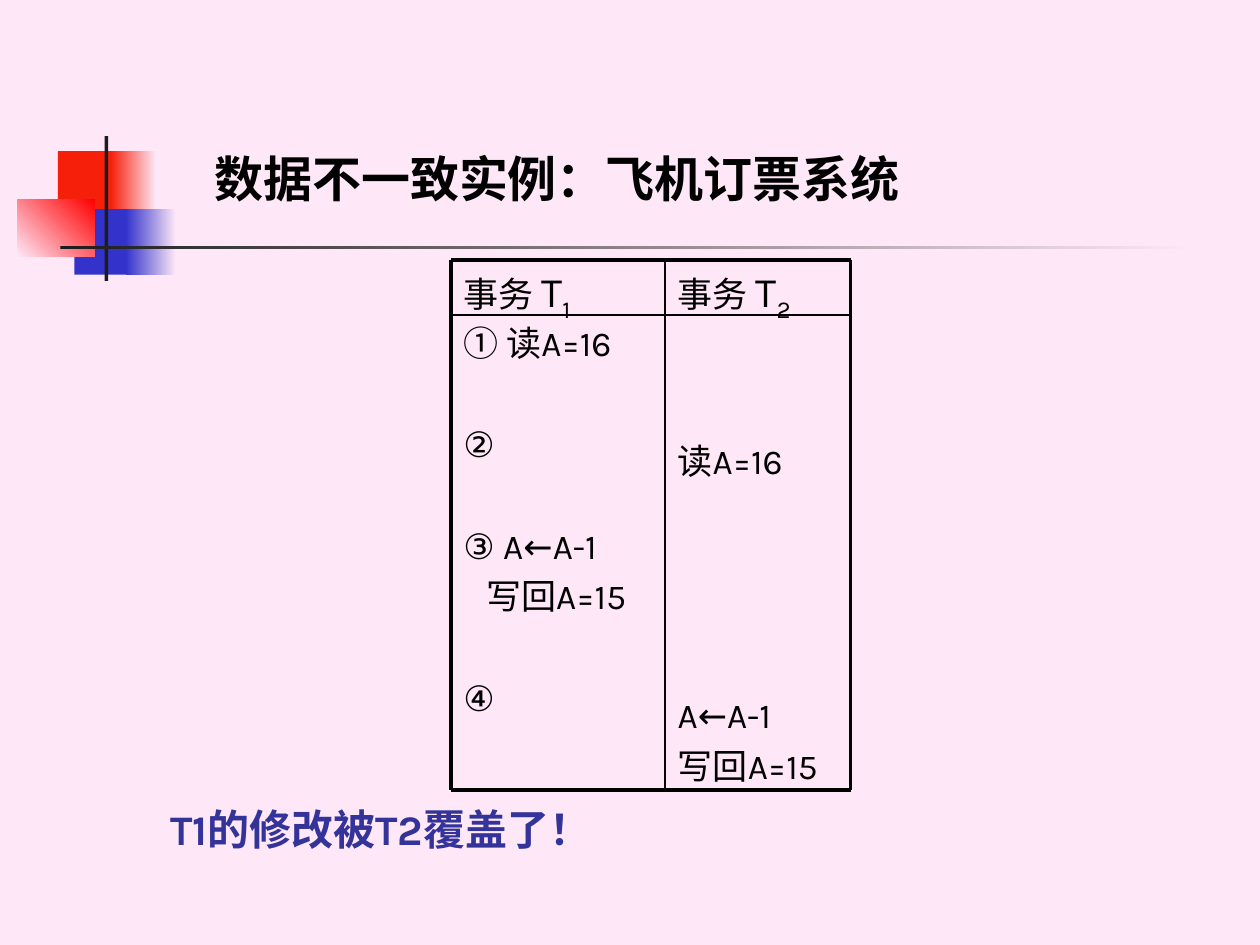
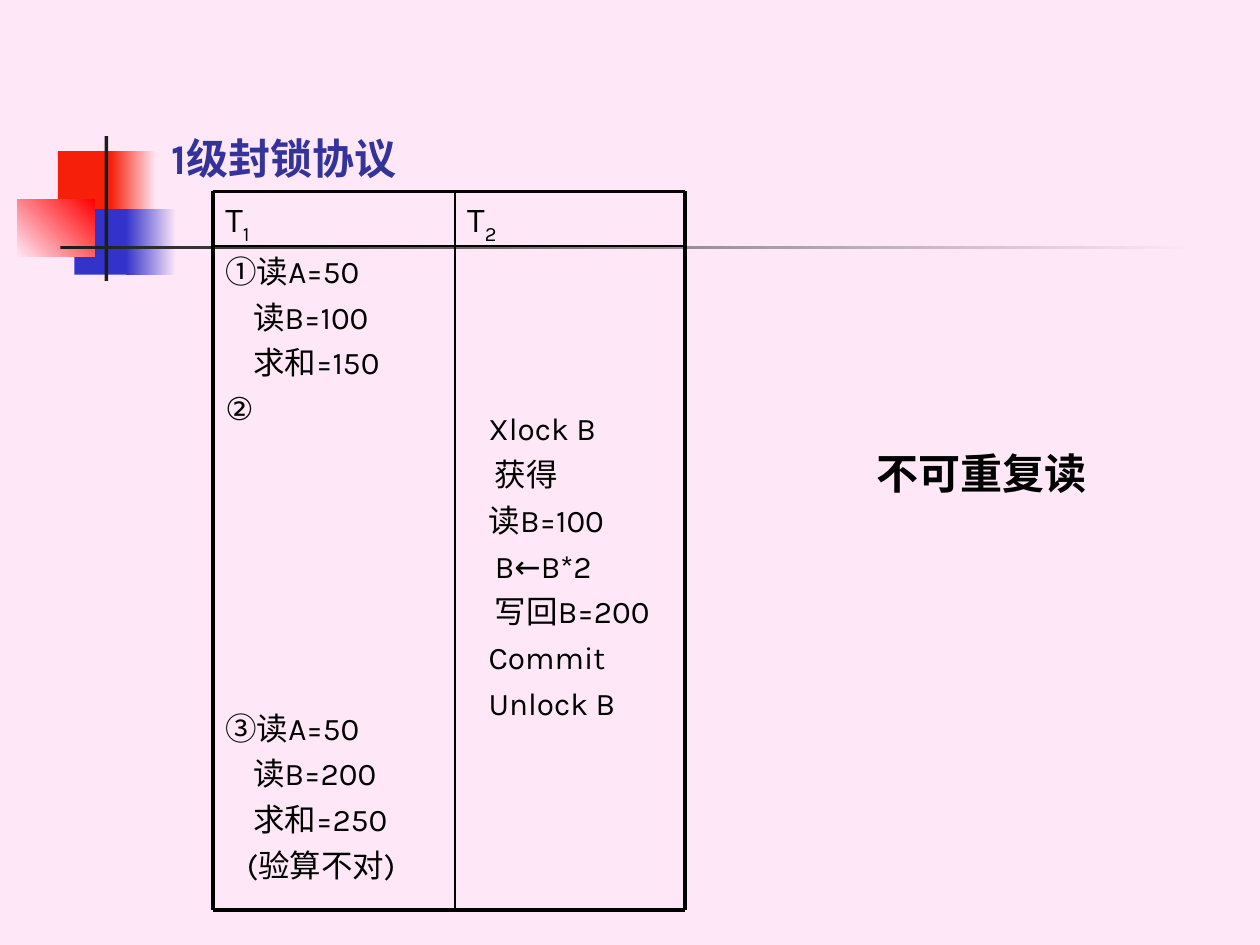
from lxml.etree import SubElement
from pptx import Presentation
from pptx.dml.color import RGBColor
from pptx.enum.shapes import MSO_CONNECTOR, MSO_SHAPE
from pptx.enum.text import MSO_ANCHOR, PP_ALIGN
from pptx.oxml.ns import qn
from pptx.util import Inches, Pt

COLORS = {
    "background": "FEE8F7",
    "orange": "F6200A",
    "red": "FF0000",
    "blue": "3333CC",
    "dark": "1C1C1C",
    "title": "333399",
    "text": "000000",
}
LATIN = "Karla"
SERIF = "Times New Roman"
OUTER, INNER = 2.25, 1


def rgb(name):
    return RGBColor.from_string(COLORS[name])


def add_run(paragraph, text, size, font=LATIN, color="text", bold=False, subscript=False):
    run = paragraph.add_run()
    run.text = text
    run.font.name = font
    run.font.size = Pt(size)
    run.font.bold = bold
    run.font.color.rgb = rgb(color)
    if subscript:
        run._r.get_or_add_rPr().set("baseline", "-25000")


def add_text_frame(slide, left, top, width, height, anchor=MSO_ANCHOR.TOP):
    box = slide.shapes.add_textbox(Inches(left), Inches(top), Inches(width), Inches(height))
    frame = box.text_frame
    frame.word_wrap = True
    frame.vertical_anchor = anchor
    return frame


def add_block(slide, left, top, width, height, start, end=None, angle=0):
    block = slide.shapes.add_shape(
        MSO_SHAPE.RECTANGLE, Inches(left), Inches(top), Inches(width), Inches(height)
    )
    block.shadow.inherit = False
    block.line.fill.background()
    if end is None:
        block.fill.solid()
        block.fill.fore_color.rgb = rgb(start)
    else:
        block.fill.gradient()
        block.fill.gradient_angle = angle
        for stop, position, color in zip(block.fill.gradient_stops, (0, 1), (start, end)):
            stop.position = position
            stop.color.rgb = rgb(color)
    return block


def decorate_master(presentation, slide):
    master = presentation.slide_master
    master.background.fill.solid()
    master.background.fill.fore_color.rgb = rgb("background")
    blocks = [
        add_block(slide, 0.46, 1.2, 0.48, 0.52, "orange"),
        add_block(slide, 0.88, 1.2, 0.36, 0.52, "orange", "background"),
        add_block(slide, 0.59, 1.66, 0.46, 0.52, "blue"),
        add_block(slide, 1, 1.66, 0.4, 0.52, "blue", "background"),
        add_block(slide, 0.14, 1.58, 0.61, 0.46, "background", "red", 45),
        add_block(slide, 0.83, 1.08, 0.03, 1.15, "dark"),
        add_block(slide, 0.48, 1.95, 9, 0.03, "dark", "background"),
    ]
    for number, block in enumerate(blocks, start=101):
        block.element.nvSpPr.cNvPr.set("id", str(number))
        master.shapes.element.append(block.element)


def set_title(slide, text, left, top, width, height):
    title = slide.shapes.title
    title.left, title.top = Inches(left), Inches(top)
    title.width, title.height = Inches(width), Inches(height)
    title.text_frame.vertical_anchor = MSO_ANCHOR.BOTTOM
    paragraph = title.text_frame.paragraphs[0]
    paragraph.alignment = PP_ALIGN.LEFT
    add_run(paragraph, text, 24, color="title", bold=True)


def add_heading(slide, text, size, left, top, width, height):
    frame = add_text_frame(slide, left, top, width, height, MSO_ANCHOR.MIDDLE)
    paragraph = frame.paragraphs[0]
    paragraph.alignment = PP_ALIGN.CENTER
    add_run(paragraph, text, size, SERIF, bold=True)


def add_rule(slide, x1, y1, x2, y2, width):
    rule = slide.shapes.add_connector(
        MSO_CONNECTOR.STRAIGHT, Inches(x1), Inches(y1), Inches(x2), Inches(y2)
    )
    rule.line.width = Pt(width)
    rule.line.color.rgb = rgb("text")
    SubElement(rule._element.spPr, qn("a:effectLst"))


def add_grid(slide, columns, rows):
    widths = (OUTER, INNER, OUTER)
    for y, width in zip(rows, widths):
        add_rule(slide, columns[0], y, columns[-1], y, width)
    for x, width in zip(columns, widths):
        add_rule(slide, x, rows[0], x, rows[-1], width)


def add_steps(frame, steps, size, space, skipped_line):
    for index, (text, indent, skipped) in enumerate(steps):
        paragraph = frame.add_paragraph() if index else frame.paragraphs[0]
        if index:
            paragraph.space_before = Pt(space + skipped * skipped_line)
        if indent:
            properties = paragraph._p.get_or_add_pPr()
            properties.set("marL", str(Inches(indent)))
            properties.set("indent", "0")
        add_run(paragraph, text, size)


def add_schedule(slide, columns, rows, transactions, size, space, skipped_line):
    top, middle, bottom = rows
    for left, right, (header, offset, steps) in zip(columns, columns[1:], transactions):
        width = right - left
        frame = add_text_frame(slide, left, top, width, middle - top)
        for text, header_size, subscript in header:
            add_run(frame.paragraphs[0], text, header_size, subscript=subscript)
        frame = add_text_frame(slide, left, middle, width, bottom - middle)
        frame.margin_top = Inches(offset)
        add_steps(frame, steps, size, space, skipped_line)
    add_grid(slide, columns, rows)


def transaction_header(number, size, prefix=None):
    runs = [(prefix, 20, False)] if prefix else []
    return runs + [("T", size, False), (number, size, True)]


def build_lost_update(slide):
    set_title(slide, "T1的修改被T2覆盖了！", 1.25, 5.58, 8.5, 1.25)
    first_steps = [
        ("① 读A=16", 0, 0),
        ("②", 0, 1),
        ("③ A←A-1", 0, 1),
        ("写回A=15", 0.18, 0),
        ("④", 0, 1),
    ]
    second_steps = [("读A=16", 0, 0), ("A←A-1", 0, 4), ("写回A=15", 0, 0)]
    transactions = [
        (transaction_header("1", 24, "事务 "), 0.05, first_steps),
        (transaction_header("2", 24, "事务 "), 0.99, second_steps),
    ]
    add_schedule(slide, (3.58, 5.28, 6.75), (2.06, 2.5, 6.27), transactions, 20, 5, 29)
    add_heading(slide, "数据不一致实例：飞机订票系统", 28, 1.42, 1.13, 6, 0.57)


def build_unrepeatable_read(slide):
    set_title(slide, "1级封锁协议", 1.26, 0.67, 8.52, 0.83)
    first_steps = [
        ("①读A=50", 0, 0),
        ("读B=100", 0.22, 0),
        ("求和=150", 0.22, 0),
        ("②", 0, 0),
        ("③读A=50", 0, 6),
        ("读B=200", 0.22, 0),
        ("求和=250", 0.22, 0),
        ("(验算不对)", 0.17, 0),
    ]
    second_steps = [
        ("Xlock B", 0.17, 0),
        ("获得", 0.22, 0),
        ("读B=100", 0.17, 0),
        ("B←B*2", 0.22, 0),
        ("写回B=200", 0.22, 0),
        ("Commit", 0.17, 0),
        ("Unlock B", 0.17, 0),
    ]
    transactions = [
        (transaction_header("1", 20), 0.05, first_steps),
        (transaction_header("2", 20), 1.3, second_steps),
    ]
    add_schedule(slide, (1.69, 3.61, 5.44), (1.52, 1.95, 7.22), transactions, 18, 4.5, 26.1)
    add_heading(slide, "不可重复读", 24, 6.17, 3.42, 3.24, 0.67)


def main():
    presentation = Presentation()
    presentation.slide_width = Inches(10)
    presentation.slide_height = Inches(7.5)
    title_only = presentation.slide_layouts[5]
    lost_update = presentation.slides.add_slide(title_only)
    unrepeatable_read = presentation.slides.add_slide(title_only)
    decorate_master(presentation, lost_update)
    build_lost_update(lost_update)
    build_unrepeatable_read(unrepeatable_read)
    presentation.save("out.pptx")


if __name__ == "__main__":
    main()
